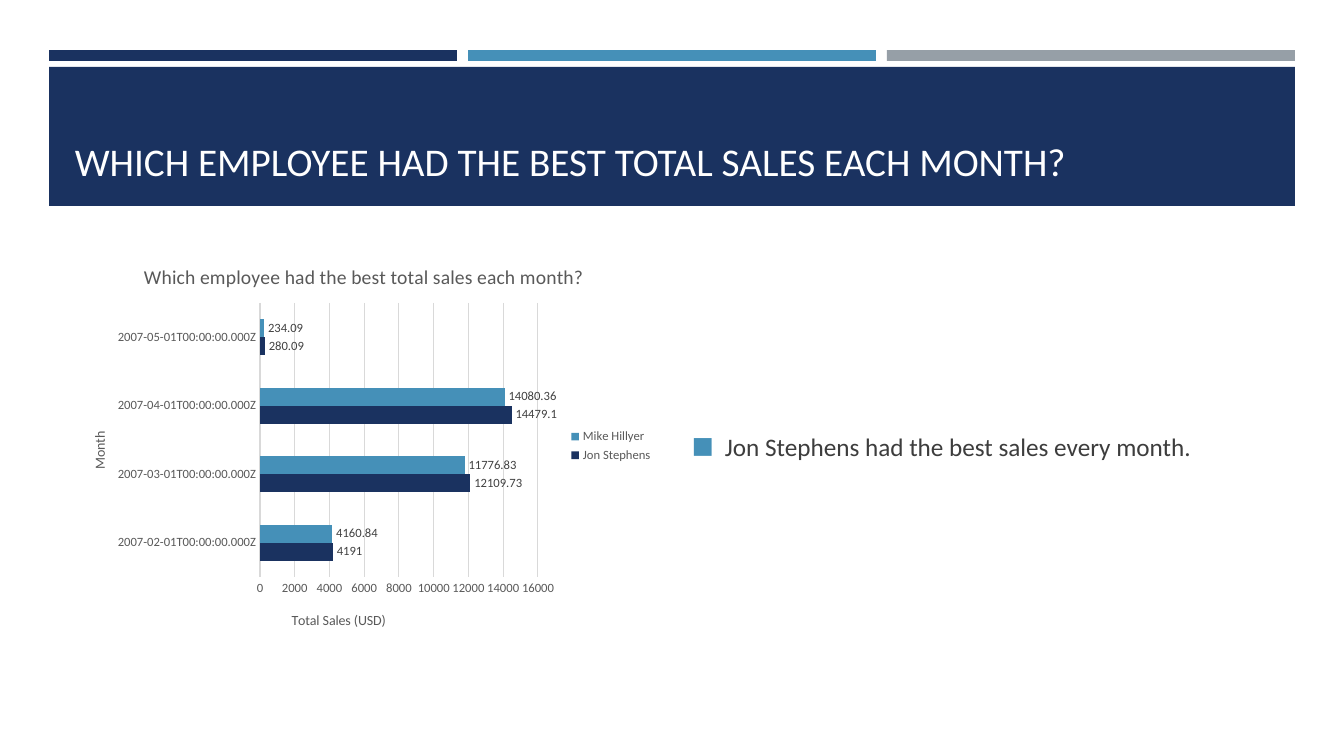
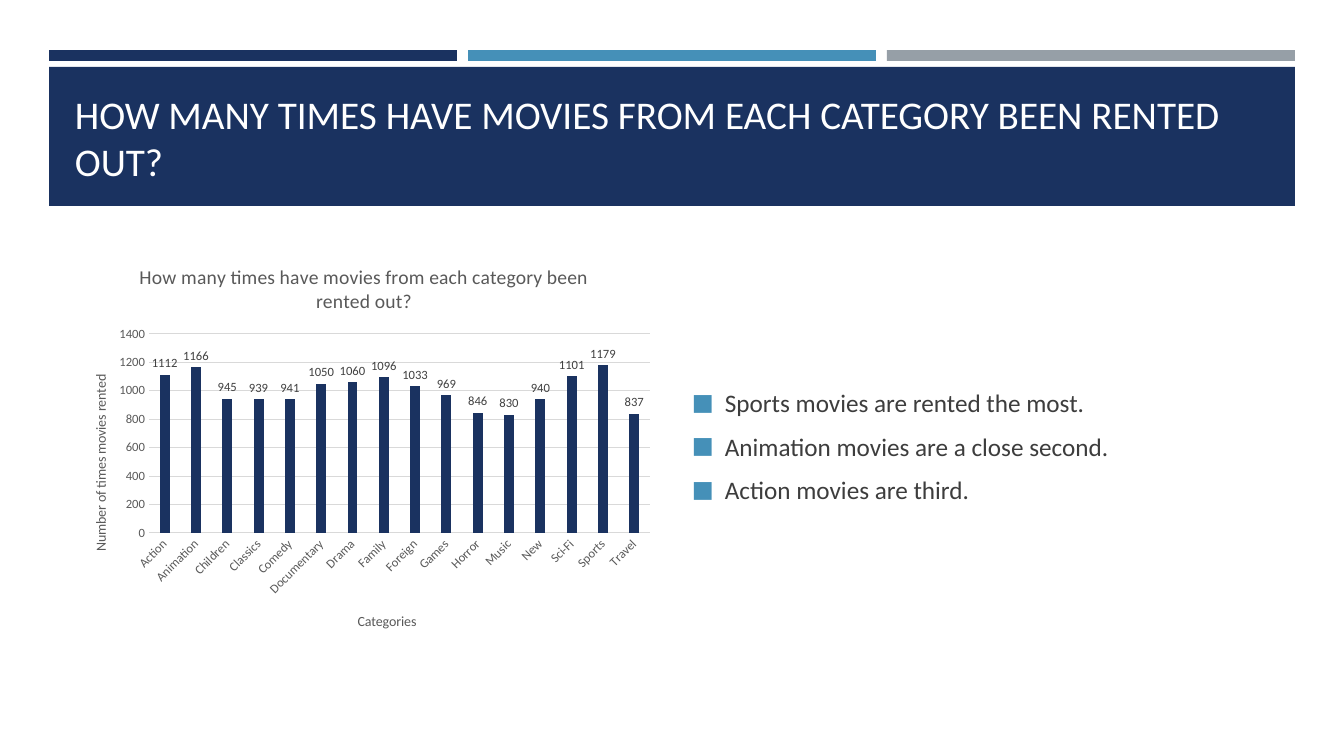
from lxml import etree
from pptx import Presentation
from pptx.chart import data as cd
from pptx.dml import color
from pptx.enum import chart as ec, shapes, text
from pptx.oxml import ns
from pptx.util import Emu, Pt

FONT = "Calibri"
NAVY, BLUE, GREY = "1A3260", "4590B8", "969FA7"
WHITE, INK, SOFT, LABEL, RULE = "FFFFFF", "3D3D3D", "595959", "404040", "D9D9D9"

SIZE = 1344, 756
BAR = 49, 50, 408, 11
STEP = 419
BAND = 49, 67, 1246, 139
HEAD = 65, 81, 1215, 108
BODY = 682, 246, 598, 400
CHART = 65, 246, 598, 400

PAGES = [
    {
        "head": "WHICH EMPLOYEE HAD THE BEST TOTAL SALES EACH MONTH?",
        "points": ["Jon Stephens had the best sales every month."],
        "kind": ec.XL_CHART_TYPE.BAR_CLUSTERED,
        "title": "Which employee had the best total sales each month?",
        "cats": [f"2007-0{m}-01T00:00:00.000Z" for m in (2, 3, 4, 5)],
        "series": [
            ("Jon Stephens", NAVY, (4191, 12109.73, 14479.1, 280.09)),
            ("Mike Hillyer", BLUE, (4160.84, 11776.83, 14080.36, 234.09)),
        ],
        "gap": 182, "lap": 0, "top": 16000, "unit": 2000,
        "plot": (260, 303, 278, 274), "legend": True, "turn": 0,
        "cat": ("Month", (88, 429), -90),
        "val": ("Total Sales (USD)", (289, 609), 0),
    },
    {
        "head": "HOW MANY TIMES HAVE MOVIES FROM EACH CATEGORY BEEN RENTED OUT?",
        "points": [
            "Sports movies are rented the most.",
            "Animation movies are a close second.",
            "Action movies are third.",
        ],
        "kind": ec.XL_CHART_TYPE.COLUMN_CLUSTERED,
        "title": "How many times have movies from each category been rented out?",
        "cats": ["Action", "Animation", "Children", "Classics", "Comedy",
                 "Documentary", "Drama", "Family", "Foreign", "Games", "Horror",
                 "Music", "New", "Sci-Fi", "Sports", "Travel"],
        "series": [
            ("Series 1", NAVY, (1112, 1166, 945, 939, 941, 1050, 1060, 1096,
                                1033, 969, 846, 830, 940, 1101, 1179, 837)),
        ],
        "gap": 219, "lap": -27, "top": 1400, "unit": 200,
        "plot": (149, 334, 501, 199), "legend": False, "turn": -45,
        "cat": ("Categories", (355, 610), 0),
        "val": ("Number of times movies rented", (89, 372), -90),
    },
]


def px(n):
    return Emu(round(n * 914400 / 100.8))


def box(spot):
    return [px(n) for n in spot]


def rgb(tint):
    return color.RGBColor.from_string(tint)


def style(font, size, tint):
    for key, val in {"name": FONT, "size": Pt(size), "bold": False}.items():
        setattr(font, key, val)
    font.color.rgb = rgb(tint)


def rect(slide, spot, tint):
    shape = slide.shapes.add_shape(shapes.MSO_SHAPE.RECTANGLE, *box(spot))
    shape.shadow.inherit = False
    shape.fill.solid()
    shape.fill.fore_color.rgb = rgb(tint)
    shape.line.fill.background()


def write(slide, spot, lines, size, tint, anchor):
    frame = slide.shapes.add_textbox(*box(spot)).text_frame
    frame.word_wrap = True
    frame.vertical_anchor = anchor
    for i, line in enumerate(lines):
        para = frame.paragraphs[0] if i == 0 else frame.add_paragraph()
        run = para.add_run()
        run.text = line
        style(run.font, size, tint)
    return frame.paragraphs


def bullet(para):
    para.space_before, para.space_after = Pt(3.6), Pt(6)
    props = para._p.get_or_add_pPr()
    props.set("marL", str(px(33)))
    props.set("indent", str(-px(33)))
    tint = etree.SubElement(props, ns.qn("a:buClr"))
    etree.SubElement(tint, ns.qn("a:srgbClr"), val=BLUE)
    etree.SubElement(props, ns.qn("a:buSzPct"), val="92000")
    etree.SubElement(props, ns.qn("a:buFont"), typeface=FONT)
    etree.SubElement(props, ns.qn("a:buChar"), char="■")


def place(node, spot, index, inner=False):
    for old in node.findall(ns.qn("c:layout")):
        node.remove(old)
    lay = etree.Element(ns.qn("c:layout"))
    node.insert(index, lay)
    man = etree.SubElement(lay, ns.qn("c:manualLayout"))
    vals = {"layoutTarget": "inner"} if inner else {}
    vals |= {"xMode": "edge", "yMode": "edge"}
    start = CHART[:2] + (0, 0)
    for key, n, base, full in zip("xywh", spot, start, CHART[2:] * 2):
        vals[key] = f"{(n - base) / full:.4f}"
    for key, val in vals.items():
        etree.SubElement(man, ns.qn("c:" + key), val=val)


def turn(node, angle):
    node.find(".//" + ns.qn("a:bodyPr")).set("rot", str(angle * 60000))


def label(title, words, size):
    title.text_frame.text = words
    style(title.text_frame.paragraphs[0].runs[0].font, size, SOFT)


def dress(axis, name):
    words, spot, angle = name
    label(axis.axis_title, words, 10)
    turn(axis.axis_title.element, angle)
    place(axis.axis_title.element, spot, 1)
    axis.major_tick_mark = axis.minor_tick_mark = ec.XL_TICK_MARK.NONE
    style(axis.tick_labels.font, 9, SOFT)


def rule(line):
    line.color.rgb = rgb(RULE)
    line.width = Pt(0.75)


def graph(slide, page):
    data = cd.CategoryChartData()
    data.categories = page["cats"]
    for name, tint, vals in page["series"]:
        data.add_series(name, vals)
    chart = slide.shapes.add_chart(page["kind"], *box(CHART), data).chart
    style(chart.font, 10, "000000")
    label(chart.chart_title, page["title"], 14)
    chart.has_legend = page["legend"]
    if page["legend"]:
        chart.legend.position = ec.XL_LEGEND_POSITION.RIGHT
        chart.legend.include_in_layout = False
        style(chart.legend.font, 9, SOFT)

    cat, val = chart.category_axis, chart.value_axis
    dress(cat, page["cat"])
    dress(val, page["val"])
    rule(cat.format.line)
    if page["turn"]:
        turn(cat._element.find(ns.qn("c:txPr")), page["turn"])
    val.format.line.fill.background()
    rule(val.major_gridlines.format.line)
    scale = {"minimum_scale": 0, "maximum_scale": page["top"], "major_unit": page["unit"]}
    for key, n in scale.items():
        setattr(val, key, n)

    plot = chart.plots[0]
    looks = {"gap_width": page["gap"], "overlap": page["lap"], "vary_by_categories": False}
    for key, n in looks.items():
        setattr(plot, key, n)
    for item, (name, tint, vals) in zip(plot.series, page["series"]):
        item.format.fill.solid()
        item.format.fill.fore_color.rgb = rgb(tint)
        tags = item.data_labels
        tags.show_value = True
        tags.position = ec.XL_LABEL_POSITION.OUTSIDE_END
        style(tags.font, 9, LABEL)
    area = chart.element.find(".//" + ns.qn("c:plotArea"))
    place(area, page["plot"], 0, True)


def build(deck, page):
    slide = deck.slides.add_slide(deck.slide_layouts[6])
    left, *rest = BAR
    for i, tint in enumerate((NAVY, BLUE, GREY)):
        rect(slide, (left + i * STEP, *rest), tint)
    rect(slide, BAND, NAVY)
    write(slide, HEAD, [page["head"]], 28, WHITE, text.MSO_ANCHOR.BOTTOM)
    for para in write(slide, BODY, page["points"], 18, INK, text.MSO_ANCHOR.MIDDLE):
        bullet(para)
    graph(slide, page)


deck = Presentation()
deck.slide_width, deck.slide_height = box(SIZE)
for page in PAGES:
    build(deck, page)
deck.save("out.pptx")
